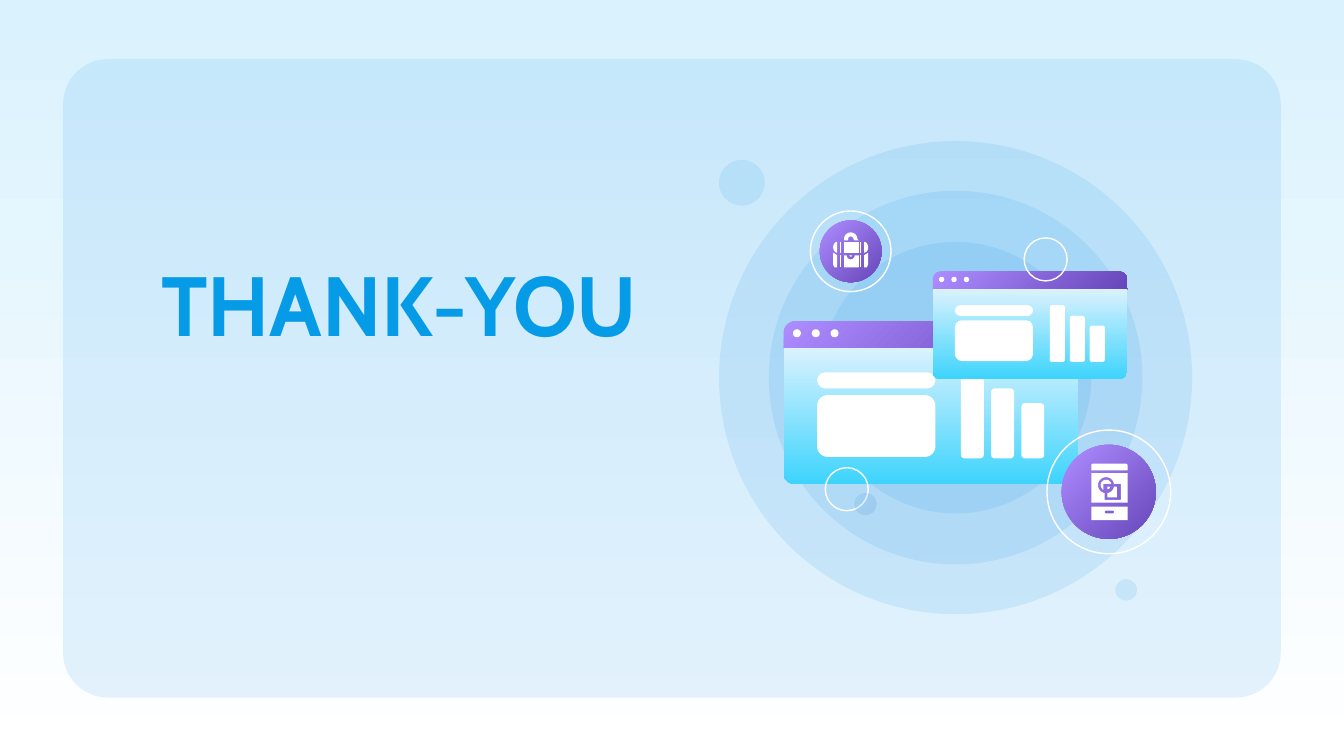
from dataclasses import dataclass
from math import cos, radians, sin
from typing import NamedTuple, Optional

from lxml.etree import SubElement
from pptx import Presentation
from pptx.dml.color import RGBColor
from pptx.dml.fill import FillFormat
from pptx.enum.shapes import MSO_SHAPE
from pptx.oxml.ns import qn
from pptx.shapes.autoshape import Shape
from pptx.shapes.shapetree import GroupShapes
from pptx.slide import Slide
from pptx.util import Inches, Pt

Point = tuple[float, float]
Contour = list[Point]


class Gradient(NamedTuple):
    start: str
    end: str
    angle: int  # counter-clockwise


@dataclass(frozen=True)
class Theme:
    white: str = "FFFFFF"
    tint: str = "0388E5"
    title: str = "069BE6"
    tint_opacity: int = 10
    background: Gradient = Gradient("FFFFFF", "DAF2FE", 90)
    purple: Gradient = Gradient("AD8DFF", "6746B9", 315)
    sky: Gradient = Gradient("DAF2FE", "3ED4FD", 270)
    shade: Gradient = Gradient("0388E5", "0048A7", 315)
    font: str = "Cabin"
    title_size: float = 45
    outline: float = 0.75


class Box(NamedTuple):
    left: float
    top: float
    width: float
    height: float


class Disc(NamedTuple):
    x: float
    y: float
    radius: float


class Window(NamedTuple):
    left: float
    top: float
    scale: float


THEME = Theme()
HALOS = [Disc(7.11, 2.81, radius) for radius in (1.76, 1.39, 1.01)]
WINDOWS = [Window(5.83, 2.39, 1), Window(6.94, 2.02, 0.66)]
BAG_CENTER = (6.33, 1.87)
PHONE_CENTER = (8.25, 3.66)


# Fills
def paint(fill: FillFormat, color: str | Gradient) -> None:
    if isinstance(color, Gradient):
        fill.gradient()
        fill.gradient_angle = color.angle
        for stop, value in zip(fill.gradient_stops, (color.start, color.end)):
            stop.color.rgb = RGBColor.from_string(value)
    else:
        fill.solid()
        fill.fore_color.rgb = RGBColor.from_string(color)


def finish(shape: Shape, color: str | Gradient, opacity: int = 100) -> None:
    shape.shadow.inherit = False
    shape.line.fill.background()
    paint(shape.fill, color)
    if opacity < 100:
        for node in shape.element.spPr.iter(qn("a:srgbClr")):
            SubElement(node, qn("a:alpha")).set("val", str(opacity * 1000))


# Basic shapes
def add_preset(shapes: GroupShapes, kind: MSO_SHAPE, box: Box, color: str | Gradient,
               opacity: int = 100, corners: tuple[float, ...] = ()) -> None:
    shape = shapes.add_shape(kind, *(Inches(length) for length in box))
    for index, corner in enumerate(corners):
        shape.adjustments[index] = corner
    finish(shape, color, opacity)


def add_disc(shapes: GroupShapes, disc: Disc, color: Optional[str | Gradient] = None,
             opacity: int = 100) -> None:
    """Draw a filled disc, or a thin white ring when no colour is given."""
    diameter = Inches(2 * disc.radius)
    shape = shapes.add_shape(MSO_SHAPE.OVAL, Inches(disc.x - disc.radius),
                             Inches(disc.y - disc.radius), diameter, diameter)
    if color:
        finish(shape, color, opacity)
    else:
        shape.shadow.inherit = False
        shape.fill.background()
        shape.line.color.rgb = RGBColor.from_string(THEME.white)
        shape.line.width = Pt(THEME.outline)


# Icon outlines
def arc(x: float, y: float, radius: float, start: float, end: float,
        height: Optional[float] = None) -> Contour:
    """Points along an arc; angles run clockwise from the right."""
    angles = [radians(start + (end - start) * step / 24) for step in range(25)]
    return [(x + radius * cos(angle), y + (height or radius) * sin(angle)) for angle in angles]


def rectangle(left: float, top: float, right: float, bottom: float) -> Contour:
    return [(left, top), (right, top), (right, bottom), (left, bottom)]


def add_outline(shapes: GroupShapes, *contours: Contour) -> None:
    builder = None
    for contour in contours:
        (x, y), *rest = [(Inches(x), Inches(y)) for x, y in contour]
        if builder is None:
            builder = shapes.build_freeform(x, y)
        else:
            builder.move_to(x, y)
        builder.add_line_segments(rest, close=True)
    finish(builder.convert_to_shape(), THEME.white)


def add_badge(slide: Slide, center: Point, ring: float, disc: float) -> GroupShapes:
    shapes = slide.shapes.add_group_shape().shapes
    add_disc(shapes, Disc(*center, ring))
    add_disc(shapes, Disc(*center, disc), THEME.purple)
    return shapes


def add_bag(slide: Slide) -> None:
    shapes = add_badge(slide, BAG_CENTER, 0.3, 0.23)
    x = BAG_CENTER[0]
    side_parts = [
        rectangle(6.25, 1.8, 6.26, 1.88),
        rectangle(6.25, 1.9, 6.26, 1.99),
        arc(6.23, 1.84, 0.03, 90, 270, height=0.04),
        [(6.2, 1.88), (6.23, 1.9), (6.23, 1.99), (6.21, 1.99), (6.2, 1.97)],
    ]
    for part in side_parts:
        add_outline(shapes, part)
        add_outline(shapes, [(2 * x - part_x, part_y) for part_x, part_y in part])
    add_outline(shapes, rectangle(6.28, 1.8, 6.39, 1.88))
    add_outline(shapes, [(6.28, 1.99), (6.28, 1.9)] + arc(x, 1.9, 0.03, 180, 0)
                + [(6.39, 1.9), (6.39, 1.99)])
    add_outline(shapes, arc(x, 1.9, 0.01, 180, 0))
    add_outline(shapes, [(6.28, 1.79)] + arc(x, 1.78, 0.05, 180, 360) + [(6.39, 1.79)]
                + [(6.36, 1.79)] + arc(x, 1.78, 0.02, 360, 180) + [(6.31, 1.79)])


def add_phone(slide: Slide) -> None:
    shapes = add_badge(slide, PHONE_CENTER, 0.46, 0.35)
    x, y = 8.23, 3.61
    add_preset(shapes, MSO_SHAPE.ROUND_2_SAME_RECTANGLE, Box(8.12, 3.45, 0.27, 0.05),
               THEME.white, corners=(0.25, 0))
    # Screen with a circle and a square cut out, then their inner areas
    add_outline(shapes, rectangle(8.12, 3.52, 8.39, 3.74),
                arc(x, y, 0.06, -10, -260) + [(8.22, 3.72), (8.34, 3.72), (8.34, 3.6)])
    add_outline(shapes, arc(x, y, 0.04, -15, -240) + [(8.21, 3.6), (8.26, 3.6)])
    add_outline(shapes, [(8.24, 3.62)] + arc(8.24, 3.62, 0.02, 0, 90))
    add_outline(shapes, [(8.31, 3.62), (8.31, 3.7), (8.24, 3.7)] + arc(x, y, 0.06, 80, 10))
    # Base with a button slot
    add_outline(shapes, rectangle(8.12, 3.77, 8.39, 3.87),
                arc(8.23, 3.81, 0.01, 90, 270) + arc(8.28, 3.81, 0.01, -90, 90))


# Browser windows
def add_window(slide: Slide, window: Window) -> None:
    shapes = slide.shapes.add_group_shape().shapes

    def add_part(kind: MSO_SHAPE, box: Box, color: str | Gradient,
                 corners: tuple[float, ...] = ()) -> None:
        left, top, width, height = (length * window.scale for length in box)
        placed = Box(window.left + left, window.top + top, width, height)
        add_preset(shapes, kind, placed, color, corners=corners)

    add_part(MSO_SHAPE.ROUND_2_SAME_RECTANGLE, Box(0, 0, 2.19, 0.2), THEME.purple, (0.42, 0))
    add_part(MSO_SHAPE.ROUND_2_SAME_RECTANGLE, Box(0, 0.2, 2.19, 1.01), THEME.sky, (0, 0.08))
    for index in range(3):
        add_part(MSO_SHAPE.OVAL, Box(0.07 + 0.14 * index, 0.06, 0.06, 0.06), THEME.white)
    for index, height in enumerate((0.64, 0.52, 0.41)):
        bar = Box(1.32 + 0.45 / 2 * index, 1.02 - height, 0.17, height)
        add_part(MSO_SHAPE.ROUNDED_RECTANGLE, bar, THEME.white, (0.15,))
    add_part(MSO_SHAPE.ROUNDED_RECTANGLE, Box(0.25, 0.38, 0.88, 0.12), THEME.white, (0.5,))
    add_part(MSO_SHAPE.ROUNDED_RECTANGLE, Box(0.25, 0.55, 0.88, 0.46), THEME.white, (0.17,))


def add_title(slide: Slide, text: str, box: Box) -> None:
    text_frame = slide.shapes.add_textbox(*(Inches(length) for length in box)).text_frame
    text_frame.word_wrap = True
    text_frame.margin_left = text_frame.margin_right = Inches(0.1)
    text_frame.margin_top = text_frame.margin_bottom = Inches(0.1)
    text_frame.text = text
    font = text_frame.paragraphs[0].runs[0].font
    font.name, font.size, font.bold = THEME.font, Pt(THEME.title_size), True
    font.color.rgb = RGBColor.from_string(THEME.title)


def main() -> None:
    presentation = Presentation()
    presentation.slide_width = Inches(10)
    presentation.slide_height = Inches(10) * 9 // 16
    slide = presentation.slides.add_slide(presentation.slide_layouts[6])

    # Background, panel and title
    paint(slide.background.fill, THEME.background)
    add_preset(slide.shapes, MSO_SHAPE.ROUNDED_RECTANGLE, Box(0.47, 0.44, 9.06, 4.75),
               THEME.tint, THEME.tint_opacity, (0.07,))
    add_title(slide, "THANK-YOU", Box(1.1, 1.78, 3.89, 1.75))

    # Illustration
    halos = slide.shapes.add_group_shape().shapes
    for halo in HALOS:
        add_disc(halos, halo, THEME.tint, THEME.tint_opacity)
    add_bag(slide)
    for window in WINDOWS:
        add_window(slide, window)
    add_phone(slide)

    # Loose rings and bubbles
    add_disc(slide.shapes, Disc(6.3, 3.64, 0.16))
    add_disc(slide.shapes, Disc(6.44, 3.75, 0.08), THEME.shade, THEME.tint_opacity)
    add_disc(slide.shapes, Disc(7.78, 1.93, 0.16))
    for bubble in (Disc(5.52, 1.36, 0.17), Disc(8.38, 4.39, 0.08)):
        add_disc(slide.shapes, bubble, THEME.tint, THEME.tint_opacity)

    presentation.save("out.pptx")


if __name__ == "__main__":
    main()
